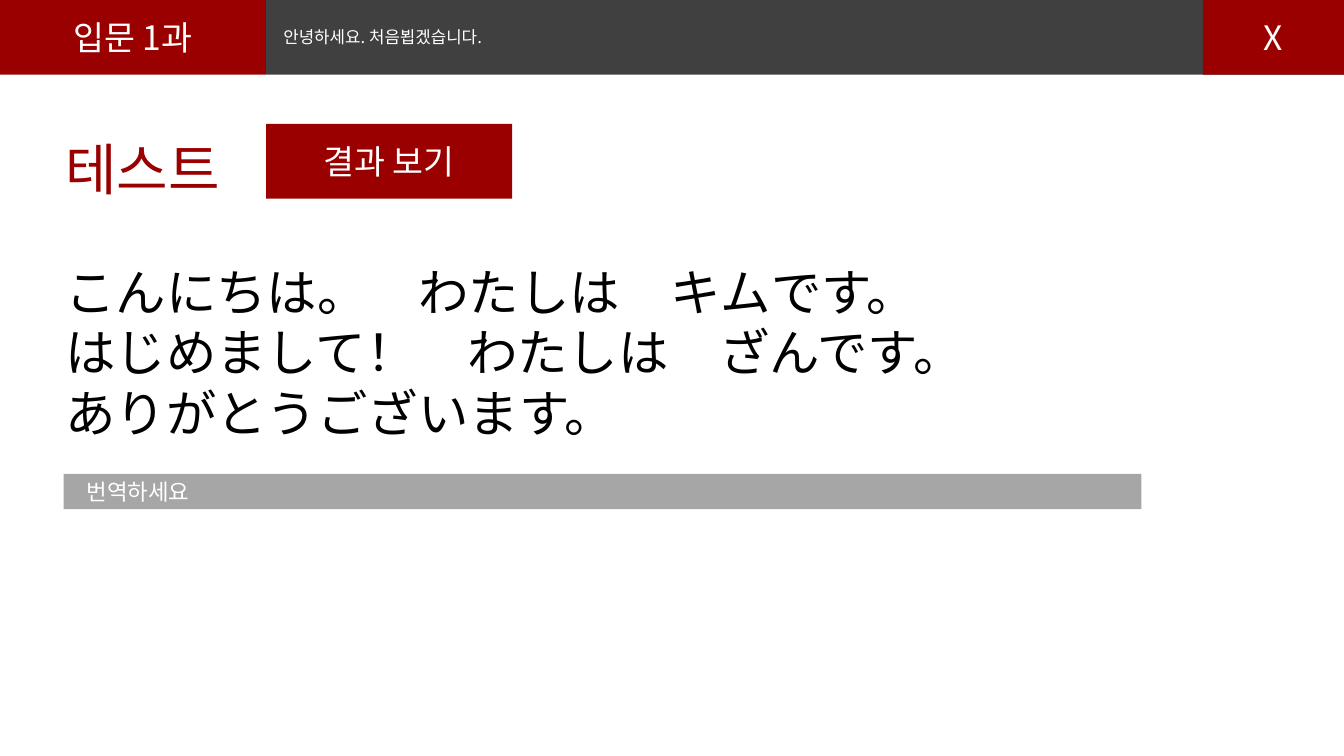
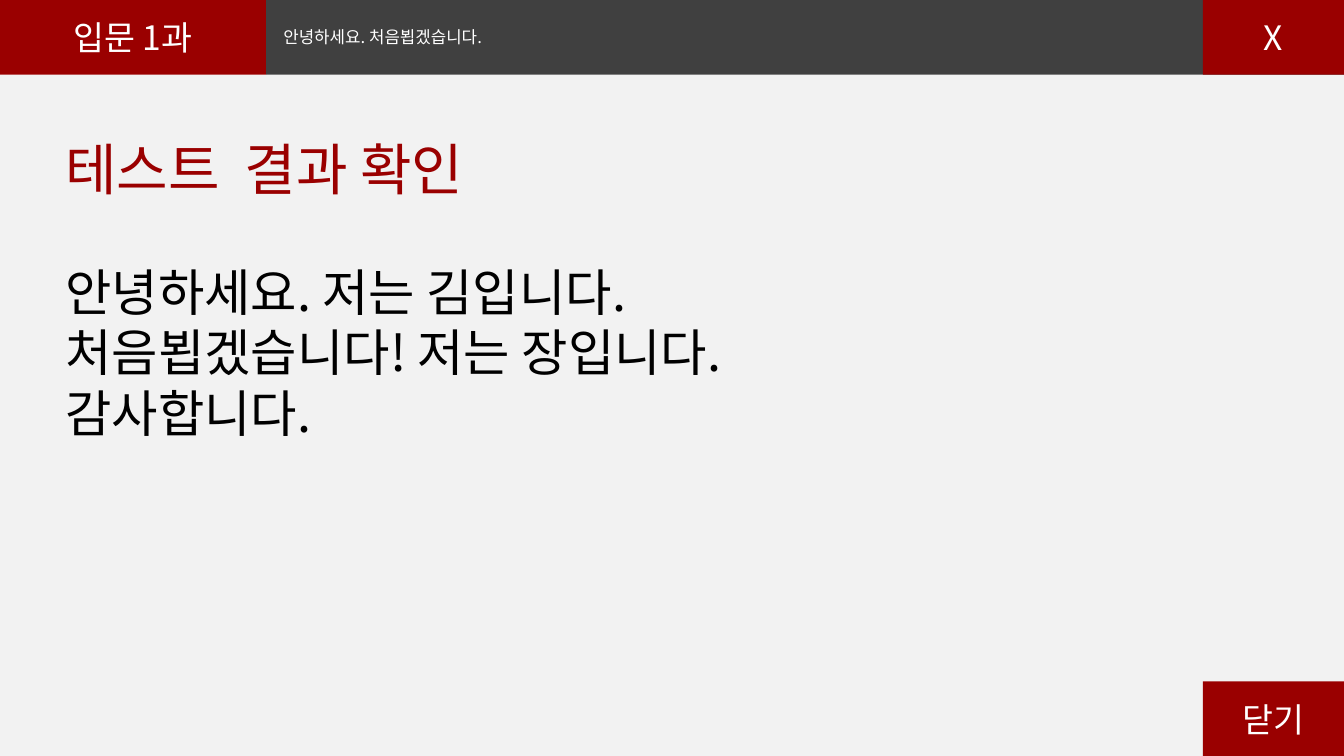
from lxml import etree
from pptx import Presentation
from pptx.dml.color import RGBColor
from pptx.enum.shapes import MSO_SHAPE
from pptx.enum.text import MSO_ANCHOR, PP_ALIGN
from pptx.oxml.ns import qn
from pptx.util import Inches, Pt

RECTANGLE = MSO_SHAPE.RECTANGLE
LEFT, CENTER = PP_ALIGN.LEFT, PP_ALIGN.CENTER
MIDDLE = MSO_ANCHOR.MIDDLE

# Content
LESSON = "입문 1과"
TOPIC = "안녕하세요. 처음뵙겠습니다."
CLOSE_MARK = "X"
TEST = {
    "title": "테스트",
    "lines": [
        "こんにちは。　わたしは　キムです。",
        "はじめまして！　わたしは　ざんです。",
        "ありがとうございます。",
    ],
    "prompt": "번역하세요",
    "button": "결과 보기",
}
RESULT = {
    "title": "테스트  결과 확인",
    "lines": [
        "안녕하세요. 저는 김입니다.",
        "처음뵙겠습니다! 저는 장입니다.",
        "감사합니다.",
    ],
    "button": "닫기",
}

# Theme
THEME = {
    "font": "Noto Sans CJK KR",
    "red": "9A0000", "dark": "404040", "gray": "A6A6A6",
    "pale": "F2F2F2", "white": "FFFFFF", "black": "000000",
    "title": 40, "body": 36, "button": 24, "prompt": 16, "topic": 12,
    "title_pitch": 51.5, "body_pitch": 43.2, "title_gap": 42,
}

# Layout, in inches
WIDTH, HEIGHT = 13.33, 7.5
BAND = 0.74
LESSON_WIDTH, CLOSE_WIDTH = 2.64, 1.4
CLOSE_LEFT = WIDTH - CLOSE_WIDTH
TOPIC_WIDTH = WIDTH - LESSON_WIDTH
TEXT_AREA = (0.55, 1.24, 12.24, 3.8)
PROMPT_AREA = (0.63, 4.7, TOPIC_WIDTH, 0.35)
RESULT_BUTTON = (LESSON_WIDTH, 1.23, 2.44, BAND)
CLOSE_BUTTON = (CLOSE_LEFT, HEIGHT - BAND, CLOSE_WIDTH, BAND)


def inches(area):
    return [Inches(length) for length in area]


def write(para, text, size, color, **formats):
    span = para.add_run()
    span.text = text
    for name, value in {"name": THEME["font"], "size": Pt(THEME[size])}.items():
        setattr(span.font, name, value)
    span.font.color.rgb = RGBColor.from_string(THEME[color])
    # East Asian text takes its own typeface
    east = etree.SubElement(span.font._element, qn("a:ea"))
    east.set("typeface", THEME["font"])
    for name, value in formats.items():
        setattr(para, name, value)


def add_block(page, area, fill, text="", size="button", align=CENTER, inset=0.1):
    box = page.shapes.add_shape(RECTANGLE, *inches(area))
    box.shadow.inherit = False
    box.fill.solid()
    box.fill.fore_color.rgb = RGBColor.from_string(THEME[fill])
    box.line.fill.background()
    if text:
        frame = box.text_frame
        settings = {"word_wrap": True, "vertical_anchor": MIDDLE,
                    "margin_left": Inches(inset)}
        for name, value in settings.items():
            setattr(frame, name, value)
        write(frame.paragraphs[0], text, size, "white", alignment=align)


def add_header(page):
    add_block(page, (0, 0, LESSON_WIDTH, BAND), "red", LESSON)
    add_block(page, (LESSON_WIDTH, 0, TOPIC_WIDTH, BAND), "dark",
              TOPIC, "topic", LEFT, 0.17)
    add_block(page, (CLOSE_LEFT, 0, CLOSE_WIDTH, BAND), "red", CLOSE_MARK)


def add_text(page, content):
    frame = page.shapes.add_textbox(*inches(TEXT_AREA)).text_frame
    frame.word_wrap = True
    write(frame.paragraphs[0], content["title"], "title", "red",
          line_spacing=Pt(THEME["title_pitch"]),
          space_after=Pt(THEME["title_gap"]))
    for line in content["lines"]:
        write(frame.add_paragraph(), line, "body", "black",
              line_spacing=Pt(THEME["body_pitch"]))


def build_test(page):
    add_header(page)
    add_text(page, TEST)
    add_block(page, PROMPT_AREA, "gray", TEST["prompt"], "prompt", LEFT, 0.23)
    add_block(page, RESULT_BUTTON, "red", TEST["button"])


def build_result(page):
    add_block(page, (0, BAND, WIDTH, HEIGHT - BAND), "pale")
    add_header(page)
    add_text(page, RESULT)
    add_block(page, CLOSE_BUTTON, "red", RESULT["button"])


def main():
    deck = Presentation()
    deck.slide_width, deck.slide_height = inches((WIDTH, HEIGHT))
    for build in (build_test, build_result):
        build(deck.slides.add_slide(deck.slide_layouts[6]))
    deck.save("out.pptx")


if __name__ == "__main__":
    main()
